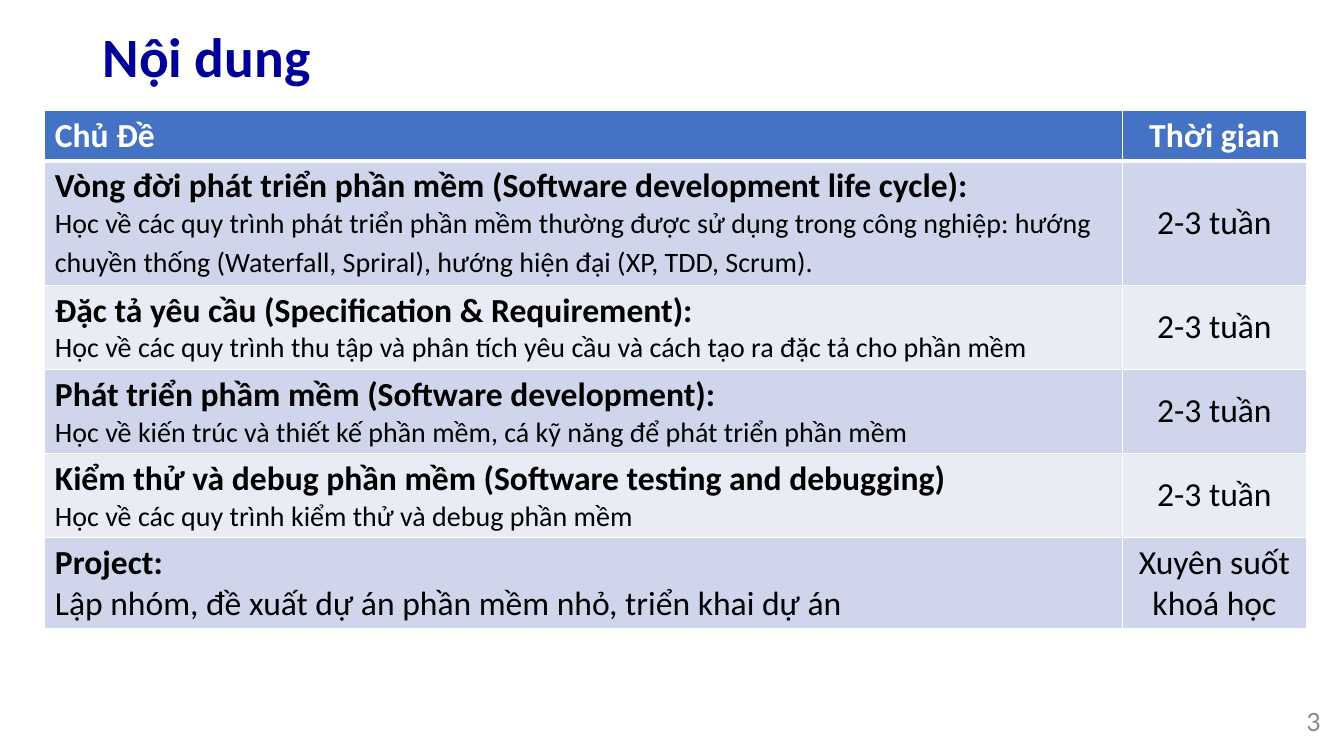
from lxml.etree import SubElement
from pptx import Presentation
from pptx.dml.color import RGBColor
from pptx.enum.text import MSO_ANCHOR, PP_ALIGN
from pptx.oxml.ns import qn
from pptx.util import Cm, Pt

NAVY = RGBColor(0x00, 0x00, 0x99)
GREY = RGBColor(0x8C, 0x8C, 0x8C)
WHITE = RGBColor(0xFF, 0xFF, 0xFF)
BLACK = RGBColor(0x00, 0x00, 0x00)
BLUE = RGBColor(0x44, 0x72, 0xC4)
BANDS = (RGBColor(0xCF, 0xD5, 0xEA), RGBColor(0xE9, 0xEB, 0xF5))

HEADS = ("Chủ Đề", "Thời gian")
# Topic, details, detail size, time, row height in cm
TOPICS = (
    ("Vòng đời phát triển phần mềm (Software development life cycle):",
     "Học về các quy trình phát triển phần mềm thường được sử dụng trong công nghiệp: "
     "hướng chuyền thống (Waterfall, Spriral), hướng hiện đại (XP, TDD, Scrum).",
     20, "2-3 tuần", 3.13),
    ("Đặc tả yêu cầu (Specification & Requirement):",
     "Học về các quy trình thu tập và phân tích yêu cầu và cách tạo ra đặc tả cho phần mềm",
     20, "2-3 tuần", 2.12),
    ("Phát triển phầm mềm (Software development):",
     "Học về kiến trúc và thiết kế phần mềm, cá kỹ năng để phát triển phần mềm",
     20, "2-3 tuần", 2.12),
    ("Kiểm thử và debug phần mềm (Software testing and debugging)",
     "Học về các quy trình kiểm thử và debug phần mềm",
     20, "2-3 tuần", 2.12),
    ("Project:", "Lập nhóm, đề xuất dự án phần mềm nhỏ, triển khai dự án",
     24, "Xuyên suốt khoá học", 2.28),
)


def write(para, text, size=24, color=BLACK, bold=False, align=PP_ALIGN.LEFT):
    para.alignment = align
    run = para.add_run()
    run.text = text
    font = run.font
    font.name, font.size, font.bold = "Calibri", Pt(size), bold
    font.color.rgb = color


def style(cell, fill, top=1, base=1):
    """Give the cell white borders, in points, and a solid fill."""
    props = cell._tc.get_or_add_tcPr()
    for side, width in (("L", 1), ("R", 1), ("T", top), ("B", base)):
        line = SubElement(props, qn(f"a:ln{side}"), w=str(Pt(width)))
        solid = SubElement(line, qn("a:solidFill"))
        SubElement(solid, qn("a:srgbClr"), val=str(WHITE))
    cell.fill.solid()
    cell.fill.fore_color.rgb = fill


def add_title(slide, left, top, width, height):
    title = slide.shapes.title
    title.left, title.top, title.width, title.height = left, top, width, height
    frame = title.text_frame
    frame.vertical_anchor = MSO_ANCHOR.MIDDLE
    para = frame.paragraphs[0]
    para.line_spacing = 0.9
    write(para, "Nội dung", size=39.6, color=NAVY, bold=True)


def add_number(slide, left, top, width, height):
    frame = slide.shapes.add_textbox(left, top, width, height).text_frame
    frame.word_wrap = True
    frame.vertical_anchor = MSO_ANCHOR.MIDDLE
    write(frame.paragraphs[0], "3", size=20, color=GREY, align=PP_ALIGN.RIGHT)


def add_plan(slide, left, top, width, height):
    """Place the table of topics and their times."""
    table = slide.shapes.add_table(len(TOPICS) + 1, 2, left, top, width, height).table
    time_width = Cm(4.65)
    table.columns[0].width = width - time_width
    table.columns[1].width = time_width

    table.rows[0].height = Cm(1.27)
    for col, (head, align) in enumerate(zip(HEADS, (PP_ALIGN.LEFT, PP_ALIGN.CENTER))):
        cell = table.cell(0, col)
        style(cell, BLUE, base=3)
        write(cell.text_frame.paragraphs[0], head, color=WHITE, bold=True, align=align)

    for row, (topic, details, size, time, tall) in enumerate(TOPICS, 1):
        table.rows[row].height = Cm(tall)
        left_cell, right_cell = table.cell(row, 0), table.cell(row, 1)
        for cell in (left_cell, right_cell):
            style(cell, BANDS[(row - 1) % 2], top=3 if row == 1 else 1)
        frame = left_cell.text_frame
        write(frame.paragraphs[0], topic, bold=True)
        para = frame.add_paragraph()
        write(para, details, size=size)
        if row == 1:
            write(para, " ")  # the larger space sets the height of the last line
        right_cell.vertical_anchor = MSO_ANCHOR.MIDDLE
        write(right_cell.text_frame.paragraphs[0], time, align=PP_ALIGN.CENTER)


def main():
    deck = Presentation()
    deck.slide_width, deck.slide_height = Cm(33.87), Cm(19.05)
    slide = deck.slides.add_slide(deck.slide_layouts[5])
    add_title(slide, Cm(2.33), Cm(0.66), Cm(29.21), Cm(1.7))
    add_number(slide, Cm(25.91), Cm(17.65), Cm(7.62), Cm(1.02))
    add_plan(slide, Cm(1.13), Cm(2.78), Cm(31.8), Cm(13.04))
    deck.save("out.pptx")


if __name__ == "__main__":
    main()
